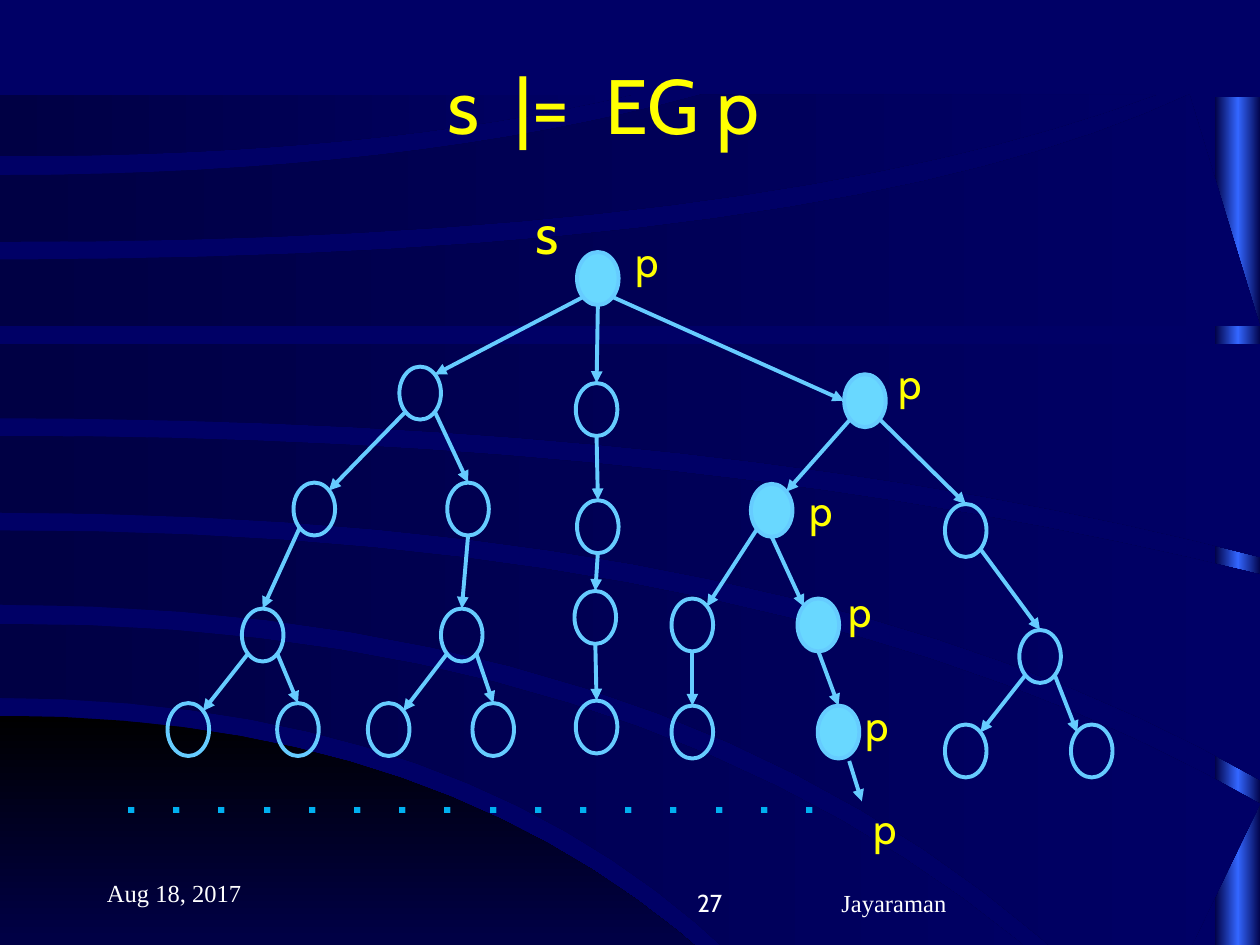
from dataclasses import dataclass

from lxml.etree import SubElement
from pptx import Presentation
from pptx.dml.color import RGBColor
from pptx.enum.shapes import MSO_CONNECTOR as Link, MSO_SHAPE as Preset
from pptx.enum.text import MSO_ANCHOR as Anchor, PP_ALIGN as Align
from pptx.oxml.ns import qn
from pptx.util import Inches, Pt


@dataclass(frozen=True)
class Theme:
    ground: str = "000066"
    band: str = "000044"
    horizon: str = "000000"
    glow: str = "3366FF"
    heading: str = "FFFF00"
    footer: str = "FFFFFF"
    outline: str = "66CCFF"
    holds: str = "69D8FF"
    dots: str = "00B0F0"
    font: str = "Cabin"
    footer_font: str = "Times New Roman"
    title_size: int = 44
    dots_size: int = 40
    state_size: int = 32
    label_size: int = 24
    footer_size: int = 14
    stroke: float = 2.25


COLUMNS, ROWS = 10, 7.5
NODE_W, NODE_H = 0.33, 0.42
NEAR, MID, FAR = 0.15, 0.5, 0.85
# Attachment points on a node, as shares of its width and height
SITES = {"top": (MID, 0), "bottom": (MID, 1), "left": (0, MID),
         "top left": (NEAR, NEAR), "top right": (FAR, NEAR),
         "bottom left": (NEAR, FAR), "bottom right": (FAR, FAR)}

# Each edge starts level at the left side: start row, bend column, end point
HORIZON = ((5.68, 4.03, 6.29, 8.27), (8.27, 3, 6.29, 8.27))
BANDS = [
    ((4.95, 5.7, 8.94, 8.25), (5.54, 4.22, 6.43, 8.25)),
    ((4.21, 6.23, 10, 6.38), (4.8, 5.9, 9.1, 8.25)),
    ((3.46, 5.57, 10, 4.56), (4.07, 6.31, 10, 6.19)),
    ((2.73, 5, 10, 2.73), (3.32, 5.79, 10, 4.42)),
    ((2.06, 6.65, 9.44, 0.75), (2.59, 5, 10, 2.59)),
    ((1.39, 3.23, 5.57, 0.75), (1.92, 6.06, 9.18, 0.75)),
    ((0.75, 2, 5.02, 0.75), (1.24, 2.95, 5.02, 0.75)),
]
STEPS = 16

# Names spell the way down from the root: l(eft), m(iddle), r(ight)
NODE_COLUMNS = {
    "s": 4.58, "l": 3.17, "m": 4.57, "r": 6.7,
    "ll": 2.33, "lr": 3.55, "mm": 4.58, "rl": 5.96, "rr": 7.5,
    "lll": 1.92, "lrm": 3.5, "mmm": 4.56, "rll": 5.33, "rlr": 6.33,
    "rrr": 8.09, "llll": 1.33, "lllr": 2.2, "lrml": 2.92, "lrmr": 3.75,
    "mmmm": 4.57, "rllm": 5.33, "rlrm": 6.49, "rrrl": 7.5, "rrrr": 8.5,
}
# Rows of the levels below the root, for each branch
LEVELS = {"s": (2,), "l": (2.91, 3.83, 4.83, 5.58),
          "m": (3.04, 3.97, 4.69, 5.56), "r": (2.97, 3.84, 4.75, 5.6),
          "rr": (2.97, 4, 5, 5.75)}
P_PATH = ("s", "r", "rl", "rlr", "rlrm")
P_LABELS = [(4.94, 1.82), (7.03, 2.79), (6.32, 3.8), (6.63, 4.6),
            (6.77, 5.5), (6.83, 6.32)]
ENDS = {"l": ("bottom left", "top right"), "m": ("bottom", "top"),
        "r": ("bottom right", "top")}
SPECIAL_ENDS = {"r": ("bottom right", "left"), "lll": ("bottom left", "top"),
                "rlr": ("bottom", "top left"),
                "rrrr": ("bottom right", "top left")}


class TreeSlide:
    def __init__(self, deck, theme):
        self.theme = theme
        self.column = deck.slide_width / COLUMNS
        self.row = deck.slide_height / ROWS
        self.slide = deck.slides.add_slide(deck.slide_layouts[5])
        self.shapes = self.slide.shapes
        self.backdrop = self.shapes.add_group_shape().shapes
        ground = self.slide.background.fill
        ground.solid()
        ground.fore_color.rgb = RGBColor.from_string(theme.ground)

    def grid(self, *lengths):
        """Turn alternating columns and rows into slide units."""
        return [round(v * (self.row if i % 2 else self.column))
                for i, v in enumerate(lengths)]

    def shade(self, shape, colors, angle=0):
        """Fill with evenly spaced gradient stops and no outline."""
        shape.shadow.inherit = False
        shape.line.fill.background()
        shape.fill.gradient()
        shape.fill.gradient_angle = angle
        stops = shape._element.spPr.find(qn("a:gradFill")).find(qn("a:gsLst"))
        for stop in list(stops):
            stops.remove(stop)
        for i, color in enumerate(colors):
            share = round(100000 * i / (len(colors) - 1))
            stop = SubElement(stops, qn("a:gs"), pos=str(share))
            SubElement(stop, qn("a:srgbClr"), val=color)

    def glow_bar(self, box, colors):
        bar = self.backdrop.add_shape(Preset.RECTANGLE, *self.grid(*box))
        self.shade(bar, colors)

    def sweep(self, edges, colors, angle=0):
        """Draw the area between an upper and a lower curved edge."""
        upper, lower = (curve(*edge) for edge in edges)
        start, *rest = [self.grid(*point) for point in upper + lower[::-1]]
        builder = self.backdrop.build_freeform(*start)
        builder.add_line_segments(rest, close=True)
        self.shade(builder.convert_to_shape(), colors, angle)

    def style(self, frame, text, size, color, font, align, anchor):
        frame.text = text
        frame.vertical_anchor = anchor
        paragraph = frame.paragraphs[0]
        paragraph.alignment = align
        letters = paragraph.runs[0].font
        letters.size, letters.name = Pt(size), font or self.theme.font
        letters.color.rgb = RGBColor.from_string(color)
        return paragraph.runs[0]

    def title(self, text, box):
        heading = self.shapes.title
        heading.left, heading.top, heading.width, heading.height = self.grid(*box)
        self.style(heading.text_frame, text, self.theme.title_size,
                   self.theme.heading, None, Align.CENTER, Anchor.MIDDLE)
        tree = heading._element.getparent()
        tree.append(heading._element)  # in front of the backdrop

    def text(self, text, box, size, color, font=None, align=Align.LEFT,
             anchor=Anchor.TOP, wrap=False, spacing=0):
        frame = self.shapes.add_textbox(*self.grid(*box)).text_frame
        frame.word_wrap = wrap
        run = self.style(frame, text, size, color, font, align, anchor)
        if spacing:
            run.font._element.set("spc", str(round(spacing * 100)))

    def node(self, place, filled):
        state = self.shapes.add_shape(
            Preset.OVAL, *self.grid(*place, NODE_W, NODE_H))
        state.shadow.inherit = False
        state.line.color.rgb = RGBColor.from_string(self.theme.outline)
        state.line.width = Pt(self.theme.stroke)
        if filled:
            state.fill.solid()
            state.fill.fore_color.rgb = RGBColor.from_string(self.theme.holds)
        else:
            state.fill.background()

    def arrow(self, start, end):
        edge = self.shapes.add_connector(
            Link.STRAIGHT, *self.grid(*start), *self.grid(*end))
        edge.line.color.rgb = RGBColor.from_string(self.theme.outline)
        edge.line.width = Pt(self.theme.stroke)
        SubElement(edge.line._get_or_add_ln(), qn("a:tailEnd"), type="triangle")
        SubElement(edge._element.spPr, qn("a:effectLst"))


def curve(start_row, bend, end_column, end_row):
    """Points of a quadratic curve that leaves the left side level."""
    shares = [i / STEPS for i in range(STEPS + 1)]
    return [(2 * t * (1 - t) * bend + t * t * end_column,
             start_row + t * t * (end_row - start_row)) for t in shares]


def place_of(name):
    branch = "rr" if name.startswith("rr") else name[0]
    return NODE_COLUMNS[name], LEVELS[branch][len(name) - 1]


def site(name, side):
    (x, y), (across, down) = place_of(name), SITES[side]
    return x + across * NODE_W, y + down * NODE_H


def main():
    deck = Presentation()
    deck.slide_width, deck.slide_height = Inches(COLUMNS), Inches(ROWS)
    theme = Theme()
    page = TreeSlide(deck, theme)

    page.glow_bar((9.64, 0.77, 0.37, 7.5), (theme.band, theme.glow, theme.band))
    page.sweep(HORIZON, (theme.horizon, theme.ground), 270)
    for band in BANDS:
        page.sweep(band, (theme.band, theme.ground))

    page.title("s  |=  EG p", (0.54, 0.2, 8.5, 1.25))
    for text, box, font, align in (
            ("Aug 18, 2017", (0.75, 6.75, 2.08, 0.5), theme.footer_font, Align.LEFT),
            ("Jayaraman", (6.58, 6.83, 3.17, 0.5), theme.footer_font, Align.LEFT),
            ("27", (3.75, 6.83, 2.08, 0.5), theme.font, Align.RIGHT)):
        page.text(text, box, theme.footer_size, theme.footer, font, align,
                  Anchor.BOTTOM, wrap=True)

    for name in NODE_COLUMNS:
        page.node(place_of(name), name in P_PATH)
        if name != "s":
            leave, arrive = SPECIAL_ENDS.get(name, ENDS[name[-1]])
            page.arrow(site(name[:-1] or "s", leave), site(name, arrive))
    page.arrow((6.74, 6.04), (6.84, 6.36))

    page.text("s", (4.14, 1.53, 0.4, 0.64), theme.state_size, theme.heading,
              align=Align.CENTER)
    for place in P_LABELS:
        page.text("p", (*place, 0.39, 0.5), theme.label_size, theme.heading,
                  align=Align.CENTER)
    page.text(" ".join("." * 16), (0.89, 5.85, 8.53, 0.77), theme.dots_size,
              theme.dots, wrap=True, spacing=4.4)
    deck.save("out.pptx")


if __name__ == "__main__":
    main()
